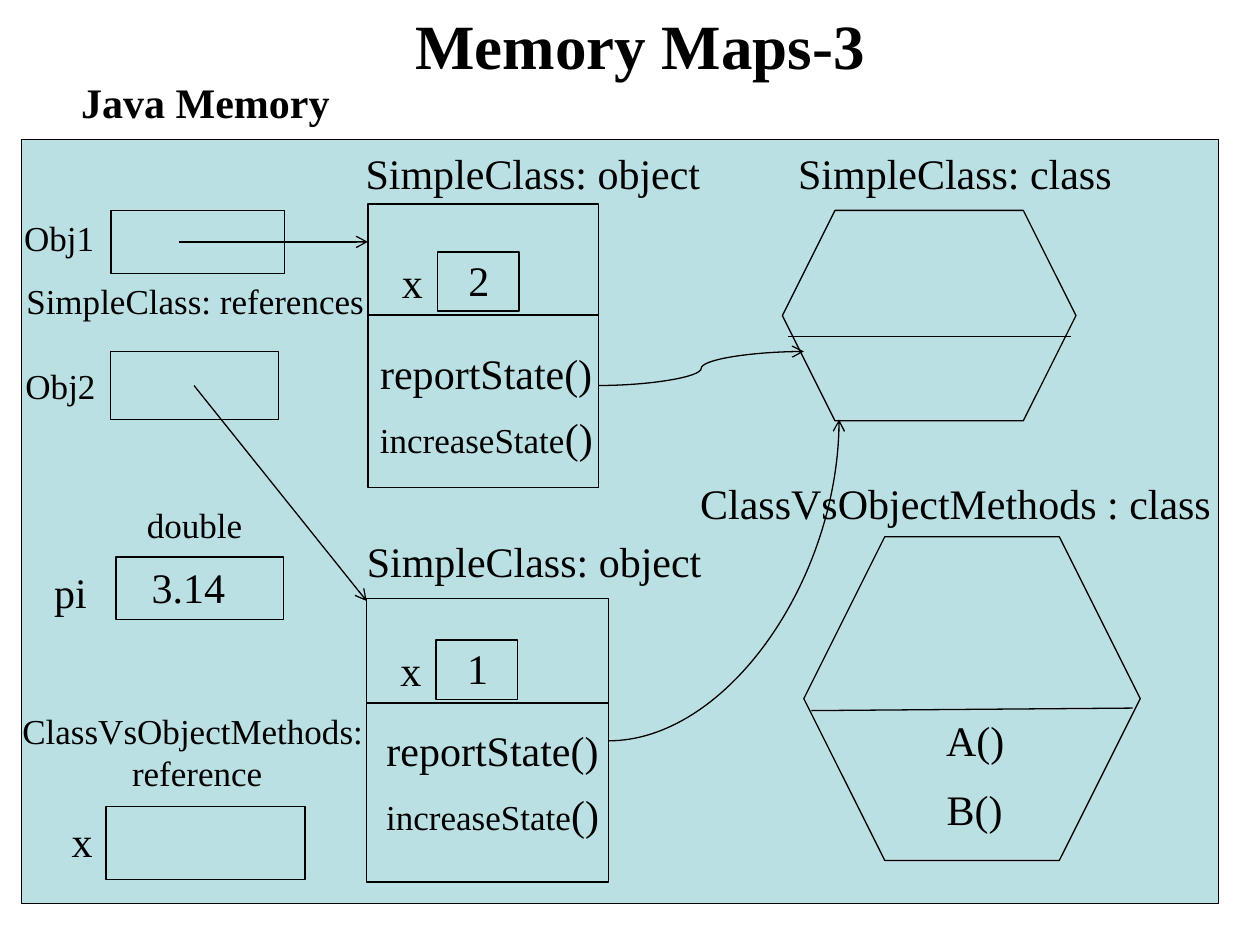
from pptx import Presentation
from pptx.dml.color import RGBColor
from pptx.enum.shapes import MSO_CONNECTOR, MSO_SHAPE
from pptx.enum.text import MSO_AUTO_SIZE, PP_ALIGN
from pptx.oxml.ns import qn
from pptx.util import Inches, Pt
from lxml.etree import SubElement

COLORS = {"memory": "BBE0E3", "ink": "000000", "page": "FFFFFF"}
FONT = "Times New Roman"
LARGE, SMALL = 24, 20


def color(name):
    return RGBColor.from_string(COLORS[name])


def add_label(slide, box, *paragraphs, size=LARGE, bold=False):
    """Centred text; a paragraph is a string or a list of (text, size) runs."""
    label = slide.shapes.add_textbox(*map(Inches, box))
    frame = label.text_frame
    frame.word_wrap = True
    frame.auto_size = MSO_AUTO_SIZE.SHAPE_TO_FIT_TEXT
    for index, content in enumerate(paragraphs):
        paragraph = frame.add_paragraph() if index else frame.paragraphs[0]
        paragraph.alignment = PP_ALIGN.CENTER
        runs = [(content, size)] if isinstance(content, str) else content
        for text, run_size in runs:
            run = paragraph.add_run()
            run.text = text
            run.font.name = FONT
            run.font.size = Pt(run_size)
            run.font.bold = bold
            run.font.color.rgb = color("ink")


def add_outline(slide, box, kind=MSO_SHAPE.RECTANGLE):
    outline = slide.shapes.add_shape(kind, *map(Inches, box))
    outline.shadow.inherit = False
    outline.fill.solid()
    outline.fill.fore_color.rgb = color("memory")
    outline.line.color.rgb = color("ink")
    outline.line.width = Pt(0.75)


def add_line(slide, start, end, kind=MSO_CONNECTOR.STRAIGHT, arrow=False):
    line = slide.shapes.add_connector(kind, *map(Inches, (*start, *end)))
    line.line.color.rgb = color("ink")
    line.line.width = Pt(0.75)
    properties = line._element.spPr
    if arrow:
        SubElement(properties.find(qn("a:ln")), qn("a:tailEnd"), type="arrow")
    SubElement(properties, qn("a:effectLst"))
    return line


def add_object(slide, box, value, divider, methods, title_offset):
    """An object: its field above the divider, its methods below."""
    left, top, width, _ = box
    title_dx, title_dy = title_offset
    middle = top + divider
    add_outline(slide, box)
    add_line(slide, (left, middle), (left + width, middle))
    add_label(slide, (left + title_dx, top + title_dy, 3.08, 0.5), "SimpleClass: object")
    add_outline(slide, (left + 0.55, middle - 0.5, 0.65, 0.47))
    add_label(slide, (left + 0.67, middle - 0.53, 0.42, 0.5), value)
    add_label(slide, (left + 0.17, middle - 0.51, 0.25, 0.5), "x")
    methods_dx, methods_dy = methods
    names = "reportState()", [("increaseState", SMALL), ("()", LARGE)]
    for row, name in enumerate(names):
        add_label(slide, (left + methods_dx, middle + methods_dy + row * 0.51, 2, 0.5), name)


def add_class(slide, box, divider, inset, title, title_box):
    left, top, width, _ = box
    start_dy, end_dy = divider
    add_outline(slide, box, MSO_SHAPE.HEXAGON)
    add_line(slide, (left + inset, top + start_dy), (left + width - inset, top + end_dy))
    add_label(slide, title_box, title)


def add_variable(slide, box, name, name_box, size=LARGE):
    add_outline(slide, box)
    add_label(slide, name_box, name, size=size)


def add_variables(slide, left, top):
    """The column of references and the primitive value."""
    def place(x, y, width, height):
        return left + x, top + y, width, height

    add_variable(slide, place(0.71, 0.56, 1.38, 0.5), "Obj1", place(-0.16, 0.56, 0.92, 0.44), SMALL)
    add_variable(slide, place(0.71, 1.68, 1.33, 0.54), "Obj2", place(-0.15, 1.73, 0.92, 0.44), SMALL)
    add_variable(slide, place(0.75, 3.31, 1.33, 0.5), "pi", place(0.08, 3.34, 0.62, 0.5))
    add_variable(slide, place(0.67, 5.29, 1.58, 0.58), "x", place(0.3, 5.31, 0.25, 0.5))
    add_label(slide, place(-0.15, 1.06, 3.06, 0.44), "SimpleClass: references", size=SMALL)
    add_label(slide, place(0.76, 2.84, 1.23, 0.44), "double", size=SMALL)
    add_label(slide, place(0.91, 3.3, 0.83, 0.5), "3.14")
    add_label(slide, place(-0.43, 4.47, 3.65, 0.77),
              "ClassVsObjectMethods: ", "reference", size=SMALL)


def add_arrows(slide):
    add_line(slide, (1.42, 1.92), (2.92, 1.92), arrow=True)
    add_line(slide, (1.54, 3.06), (2.91, 4.77), arrow=True)
    add_line(slide, (4.75, 3.06), (6.38, 2.79), MSO_CONNECTOR.CURVE, arrow=True)
    quarter_turn = add_line(slide, (4.83, 5.88), (6.66, 3.33), MSO_CONNECTOR.CURVE, arrow=True)
    quarter_turn._element.spPr.find(qn("a:prstGeom")).set("prst", "curvedConnector2")


def main():
    presentation = Presentation()
    presentation.slide_width, presentation.slide_height = Inches(10), Inches(7.5)
    slide = presentation.slides.add_slide(presentation.slide_layouts[6])
    slide.background.fill.solid()
    slide.background.fill.fore_color.rgb = color("page")

    add_label(slide, (1.08, 0, 8, 1.11), "Memory Maps-3", size=36, bold=True)
    add_label(slide, (0.42, 0.56, 2.42, 0.5), "Java Memory", bold=True)
    memory_left, memory_top = 0.17, 1.11
    add_outline(slide, (memory_left, memory_top, 9.5, 6.06))

    add_object(slide, (2.92, 1.62, 1.83, 2.25), "2", divider=0.88,
               methods=(-0.06, 0.21), title_offset=(-0.23, -0.5))
    add_object(slide, (2.91, 4.75, 1.92, 2.25), "1", divider=0.83,
               methods=(0, 0.12), title_offset=(-0.21, -0.55))
    add_class(slide, (6.21, 1.67, 2.33, 1.67), (1, 1), 0.04,
              "SimpleClass: class", (6.08, 1.12, 3, 0.5))
    add_class(slide, (6.38, 4.26, 2.67, 2.57), (1.38, 1.36), 0.06,
              "ClassVsObjectMethods : class", (5.27, 3.74, 4.63, 0.5))
    add_label(slide, (7.3, 5.62, 0.88, 0.5), "A()")
    add_label(slide, (7.4, 6.17, 0.67, 0.5), "B()")
    add_variables(slide, memory_left, memory_top)
    add_arrows(slide)

    presentation.save("out.pptx")


if __name__ == "__main__":
    main()
